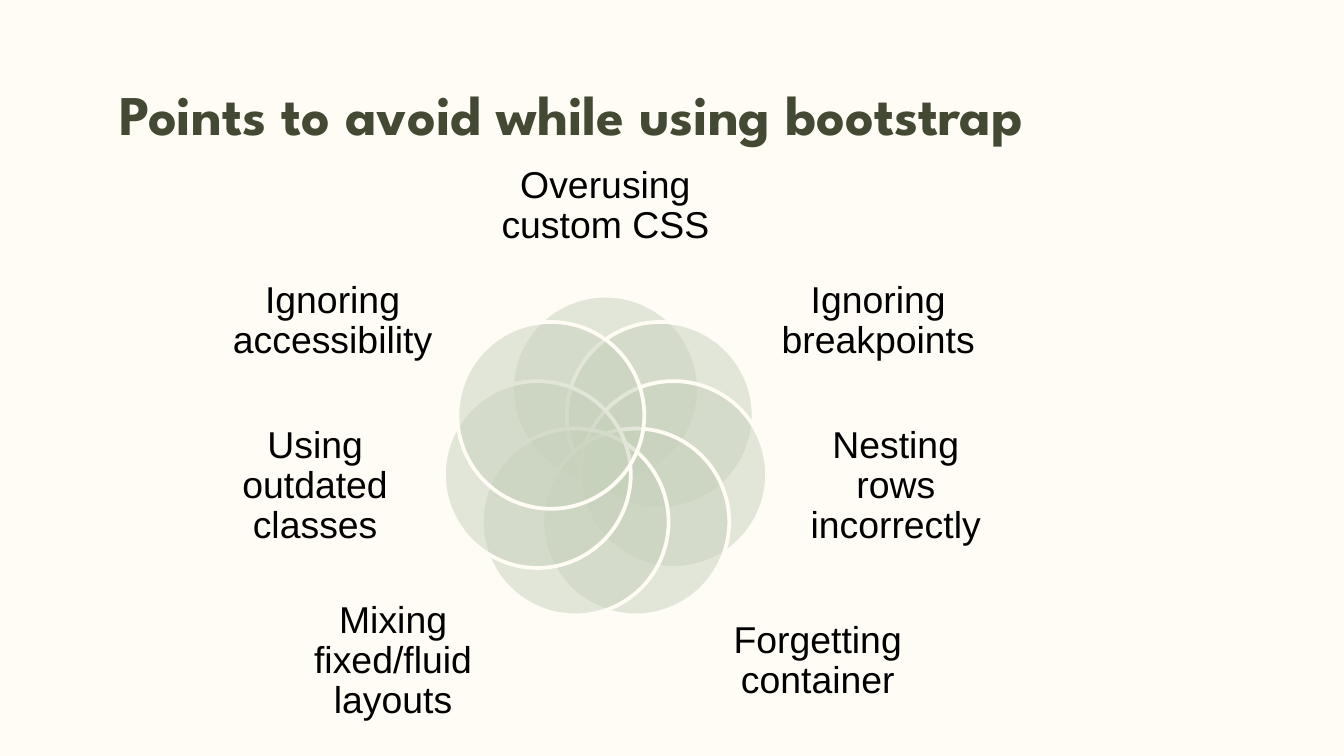
from dataclasses import dataclass
from math import cos, pi, sin

from lxml import etree
from pptx import Presentation
from pptx.dml.color import RGBColor
from pptx.enum.shapes import MSO_SHAPE
from pptx.enum.text import MSO_ANCHOR, PP_ALIGN
from pptx.oxml.ns import qn
from pptx.util import Emu, Inches, Pt

OVAL = MSO_SHAPE.OVAL
TOP, MIDDLE = MSO_ANCHOR.TOP, MSO_ANCHOR.MIDDLE
LEFT, CENTER = PP_ALIGN.LEFT, PP_ALIGN.CENTER


@dataclass(frozen=True)
class TextStyle:
    font: str
    size: float
    color: str
    bold: bool
    align: PP_ALIGN
    anchor: MSO_ANCHOR
    inset: float
    spacing: float


@dataclass(frozen=True)
class Theme:
    background: str = "FFFBF5"
    petal: str = "C7D2BD"
    petal_alpha: int = 50  # percent
    outline: float = 2
    title: TextStyle = TextStyle("League Spartan", 30, "434933", True, LEFT, TOP, 1, 1.0)
    label: TextStyle = TextStyle("Arial", 20, "000000", False, CENTER, MIDDLE, 0, 0.9)


@dataclass(frozen=True)
class Box:
    """A rectangle in grid columns and rows."""
    col: float
    row: float
    cols: float
    rows: float


@dataclass(frozen=True)
class Level:
    """Size and place of labels; offset is columns from the flower's axis."""
    offset: float
    row: float
    cols: float
    rows: float


@dataclass(frozen=True)
class Point:
    text: str
    level: Level
    side: int  # -1 left, 0 axis, 1 right


THEME = Theme()

# Grid of 100 columns with square cells
WIDTH, HEIGHT = Inches(10), Inches(5.625)
CELL = WIDTH // 100

# Flower of overlapping circles
CENTER_COL, CENTER_ROW = 45.05, 34.15
RING, DIAMETER = 5.2, 13.9

CROWN = Level(0, 15.35, 15.9, 8.5)
UPPER = Level(20.3, 23.9, 15.1, 9.4)
LOWER = Level(21.6, 36.2, 14.8, 10)
FOOT = Level(15.8, 49.2, 15.9, 9.2)

# Clockwise from the top
POINTS = [
    Point("Overusing custom CSS", CROWN, 0),
    Point("Ignoring breakpoints", UPPER, 1),
    Point("Nesting rows incorrectly", LOWER, 1),
    Point("Forgetting container", FOOT, 1),
    Point("Mixing fixed/fluid layouts", FOOT, -1),
    Point("Using outdated classes", LOWER, -1),
    Point("Ignoring accessibility", UPPER, -1),
]


def grid(cells: float) -> Emu:
    return Emu(round(cells * CELL))


def centered(col: float, row: float, cols: float, rows: float) -> Box:
    return Box(col - cols / 2, row - rows / 2, cols, rows)


def place(box: Box) -> list[Emu]:
    return [grid(v) for v in (box.col, box.row, box.cols, box.rows)]


def add_text(shapes, text: str, box: Box, style: TextStyle) -> None:
    tf = shapes.add_textbox(*place(box)).text_frame
    tf.word_wrap = True
    tf.vertical_anchor = style.anchor
    tf.margin_left = tf.margin_right = grid(style.inset)
    tf.margin_top = tf.margin_bottom = grid(style.inset)
    tf.text = text
    p = tf.paragraphs[0]
    p.alignment = style.align
    p.line_spacing = style.spacing
    font = p.runs[0].font
    font.name, font.size, font.bold = style.font, Pt(style.size), style.bold
    font.color.rgb = RGBColor.from_string(style.color)


def add_petal(shapes, angle: float) -> None:
    box = centered(CENTER_COL + RING * sin(angle),
                   CENTER_ROW - RING * cos(angle), DIAMETER, DIAMETER)
    sp = shapes.add_shape(OVAL, *place(box))
    sp.shadow.inherit = False
    sp.fill.solid()
    sp.fill.fore_color.rgb = RGBColor.from_string(THEME.petal)
    color = sp.fill._xPr.find(qn("a:solidFill"))[0]
    etree.SubElement(color, qn("a:alpha"), val=str(THEME.petal_alpha * 1000))
    sp.line.color.rgb = RGBColor.from_string(THEME.background)
    sp.line.width = Pt(THEME.outline)


def add_label(shapes, point: Point) -> None:
    level = point.level
    box = centered(CENTER_COL + point.side * level.offset,
                   level.row, level.cols, level.rows)
    add_text(shapes, point.text, box, THEME.label)


def main() -> None:
    prs = Presentation()
    prs.slide_width, prs.slide_height = WIDTH, HEIGHT
    slide = prs.slides.add_slide(prs.slide_layouts[6])
    fill = slide.background.fill
    fill.solid()
    fill.fore_color.rgb = RGBColor.from_string(THEME.background)

    # Title
    add_text(slide.shapes, "Points to avoid while using bootstrap",
             Box(7.9, 4.9, 84.3, 6.3), THEME.title)

    # Flower with one label per petal
    flower = slide.shapes.add_group_shape()
    for i, point in enumerate(POINTS):
        add_petal(flower.shapes, 2 * pi * i / len(POINTS))
        add_label(flower.shapes, point)

    prs.save("out.pptx")


if __name__ == "__main__":
    main()
